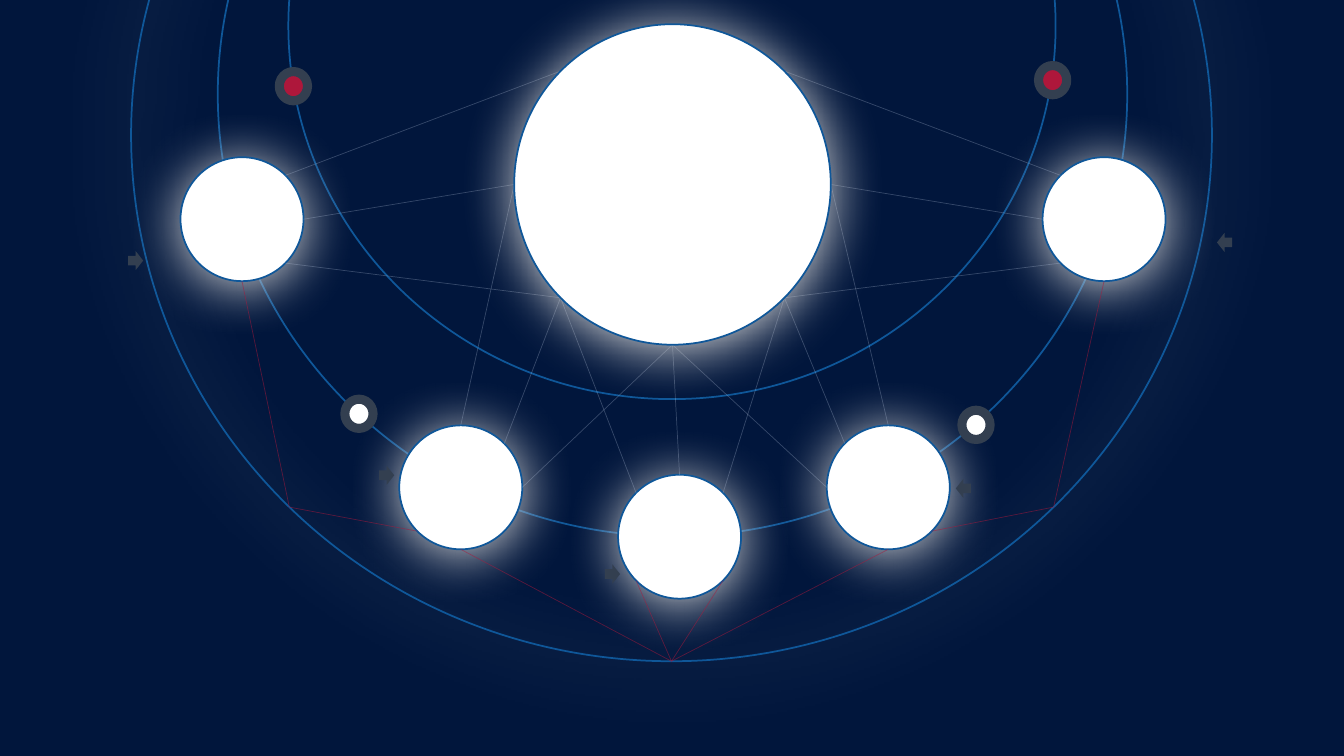
from dataclasses import dataclass
from math import cos, radians, sin

from lxml import etree
from pptx import Presentation
from pptx.dml.color import RGBColor as Rgb
from pptx.enum.shapes import MSO_CONNECTOR as Conn, MSO_SHAPE as Kind
from pptx.oxml.ns import qn
from pptx.util import Inches, Pt

HUES = {
    "back": "01163C",
    "ring": "0F5799",
    "white": "FFFFFF",
    "glow": "D9D9D9",
    "red": "AE173B",
    "slate": "333F50",
    "pale": "C7D5ED",
}


@dataclass(frozen=True)
class Disc:
    """An ellipse in inches, with its fill, edge and glow."""
    left: float
    top: float
    wide: float
    high: float
    fill: str = ""
    edge: str = "ring"
    width: float = 1.25
    glow: str = ""
    blur: float = 40

    def spot(self, turn: int) -> tuple[float, float]:
        """Give the rim point at a clockwise angle from the right."""
        angle = radians(turn)
        return (self.left + self.wide / 2 * (1 + cos(angle)),
                self.top + self.high / 2 * (1 + sin(angle)))


@dataclass(frozen=True)
class Arrow:
    """A small arrow, pointing right unless turned."""
    left: float
    top: float
    turn: int = 0


@dataclass(frozen=True)
class Link:
    """A thin line between rim points of two discs."""
    start: Disc
    leave: int
    end: Disc
    reach: int


def ball(left: float, top: float) -> Disc:
    """Make one of the five glowing orbit discs."""
    return Disc(left, top, 1.22, 1.23, "white", glow="glow")


def dot(left: float, top: float, fill: str) -> Disc:
    """Make a small marker with a thick slate edge."""
    return Disc(left, top, 0.28, 0.29, fill, "slate", 6.5)


def paint(target, hue: str) -> None:
    """Give a fill one solid colour."""
    target.solid()
    target.fore_color.rgb = Rgb.from_string(HUES[hue])


def add_glow(shape, hue: str, blur: float) -> None:
    """Add a wide soft shadow just below a shape."""
    effects = shape._element.spPr.find(qn("a:effectLst"))
    shade = etree.SubElement(effects, qn("a:outerShdw"), blurRad=str(Pt(blur)),
                             dist=str(Pt(3)), dir="5400000", algn="t", rotWithShape="0")
    etree.SubElement(shade, qn("a:srgbClr"), val=HUES[hue])


def draw_disc(shapes, disc: Disc) -> None:
    """Draw an ellipse."""
    shape = shapes.add_shape(Kind.OVAL, Inches(disc.left), Inches(disc.top),
                             Inches(disc.wide), Inches(disc.high))
    shape.shadow.inherit = False
    if disc.fill:
        paint(shape.fill, disc.fill)
    else:
        shape.fill.background()
    paint(shape.line.fill, disc.edge)
    shape.line.width = Pt(disc.width)
    if disc.glow:
        add_glow(shape, disc.glow, disc.blur)


def draw_arrow(shapes, arrow: Arrow) -> None:
    """Draw a slate arrow."""
    shape = shapes.add_shape(Kind.RIGHT_ARROW, Inches(arrow.left), Inches(arrow.top),
                             Inches(0.15), Inches(0.19))
    shape.shadow.inherit = False
    shape.rotation = arrow.turn
    paint(shape.fill, "slate")
    shape.line.fill.background()


def draw_link(shapes, link: Link, hue: str, alpha: int) -> None:
    """Draw a see-through line; alpha is in percent."""
    ends = (*link.start.spot(link.leave), *link.end.spot(link.reach))
    line = shapes.add_connector(Conn.STRAIGHT, *map(Inches, ends))
    paint(line.line.fill, hue)
    line.line.width = Pt(0.5)
    props = line._element.spPr
    etree.SubElement(next(props.iter(qn("a:srgbClr"))), qn("a:alpha"), val=str(alpha * 1000))
    etree.SubElement(props, qn("a:effectLst"))


RIM = Disc(1.3, -3.88, 10.72, 10.44, glow="white", blur=49)
RINGS = [RIM, Disc(2.16, -3.45, 9.02, 8.77), Disc(2.86, -3.45, 7.61, 7.41)]
HUB = Disc(5.1, 0.24, 3.14, 3.18, "white", glow="glow")
WEST, SWEST, SOUTH, SEAST, EAST = BALLS = [
    ball(1.79, 1.56), ball(3.96, 4.22), ball(6.13, 4.71), ball(8.2, 4.22), ball(10.34, 1.56)]
DOTS = [dot(10.3, 0.65, "red"), dot(9.54, 4.07, "white"),
        dot(3.42, 3.96, "white"), dot(2.77, 0.71, "red")]
ARROWS = [Arrow(3.76, 4.62), Arrow(6, 5.6), Arrow(1.27, 2.49),
          Arrow(12.07, 2.31, 180), Arrow(9.48, 4.75, 180)]

# Each pair: angle on the ball, angle on the hub or rim
SPOKES = [
    (WEST, [(315, 225), (0, 180), (45, 135)]),
    (SWEST, [(270, 180), (315, 135), (0, 90)]),
    (SOUTH, [(270, 90), (225, 135), (315, 45)]),
    (SEAST, [(180, 90), (225, 45), (270, 0)]),
    (EAST, [(180, 0), (135, 45), (225, 315)]),
]
STAYS = [
    (WEST, [(90, 135)]),
    (SWEST, [(135, 135), (90, 90)]),
    (SOUTH, [(135, 90), (45, 90)]),
    (SEAST, [(45, 45), (90, 90)]),
    (EAST, [(90, 45)]),
]


def draw_web(shapes, web: list, goal: Disc, hue: str, alpha: int) -> None:
    """Link the balls to one goal disc."""
    for start, pairs in web:
        for leave, reach in pairs:
            draw_link(shapes, Link(start, leave, goal, reach), hue, alpha)


def main() -> None:
    """Build and save the slide."""
    deck = Presentation()
    deck.slide_width, deck.slide_height = Inches(13.33), Inches(7.5)
    slide = deck.slides.add_slide(deck.slide_layouts[6])
    paint(slide.background.fill, "back")
    shapes = slide.shapes
    for disc in RINGS + BALLS + DOTS:
        draw_disc(shapes, disc)
    for arrow in ARROWS:
        draw_arrow(shapes, arrow)
    draw_web(shapes, SPOKES, HUB, "pale", 25)
    draw_disc(shapes, HUB)
    draw_web(shapes, STAYS, RIM, "red", 50)
    deck.save("out.pptx")


main()
